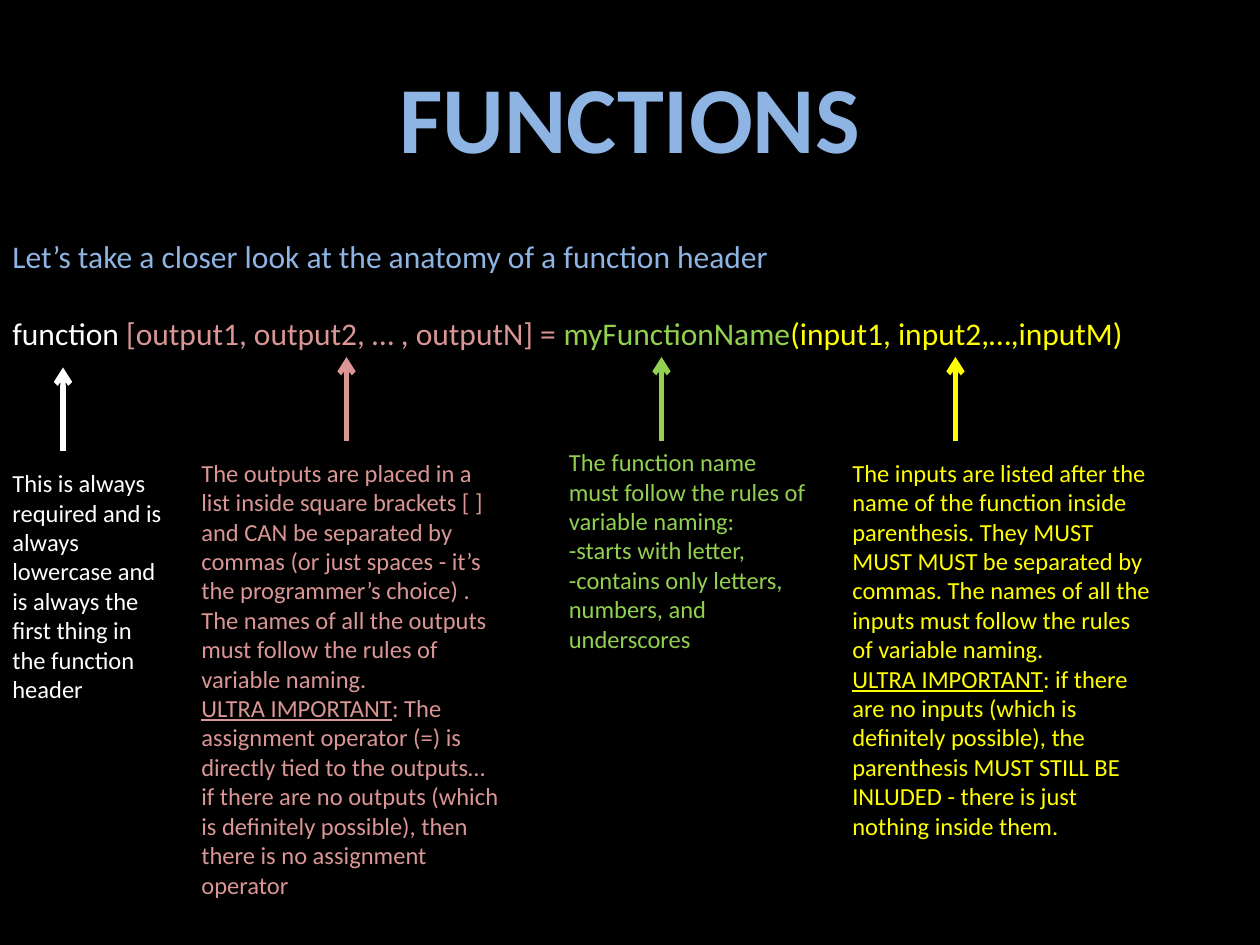
from dataclasses import dataclass

from lxml.etree import SubElement
from pptx import Presentation
from pptx.dml.color import RGBColor as RGB
from pptx.enum.shapes import MSO_CONNECTOR as Connector
from pptx.enum.text import MSO_AUTO_SIZE as AutoSize, PP_ALIGN as Align
from pptx.oxml.ns import qn
from pptx.util import Inches, Pt


@dataclass(frozen=True)
class Theme:
    """Colours, font and type sizes."""
    font: str = "Calibri"
    back: str = "000000"
    heading: str = "8EB4E3"
    keyword: str = "FFFFFF"
    outputs: str = "D99694"
    name: str = "92D050"
    inputs: str = "FFFF00"
    title_size: int = 54
    header_size: int = 18
    note_size: int = 14
    arrow_width: int = 3


T = Theme()
COLS, ROWS = 120, 90  # grid of twelve cells to the inch
ARROW_ROWS = 8

# colour, note box (col, row, cols, rows), arrow column and offset from the note top, paragraphs
NOTES = [
    (T.keyword, (0, 44, 17, 24), 6, -1,
     [["This is always required and is always lowercase and is always the first "
       "thing in the function header"]]),
    (T.outputs, (18, 43, 31, 43.7), 15, -1,
     [["The outputs are placed in a list inside square brackets [ ] and CAN be separated "
       "by commas (or just spaces - it’s the programmer’s choice) . The names of all the "
       "outputs must follow the rules of variable naming."],
      ["ULTRA IMPORTANT",
       ": The assignment operator (=) is directly tied to the outputs… if there are no "
       "outputs (which is definitely possible), then there is no assignment operator"]]),
    (T.name, (53, 42, 25, 21), 10, 0,
     [["The function name must follow the rules of variable naming:"],
      ["-starts with letter, "],
      ["-contains only letters, numbers, and underscores"]]),
    (T.inputs, (80, 43, 31, 38), 11, -1,
     [["The inputs are listed after the name of the function inside parenthesis. They MUST "
       "MUST MUST be separated by commas. The names of all the inputs must follow the rules "
       "of variable naming."],
      ["ULTRA IMPORTANT",
       ": if there are no inputs (which is definitely possible), the parenthesis MUST STILL "
       "BE INLUDED - there is just nothing inside them."]]),
]


def cell(n):
    """Turn grid cells into a length."""
    return Inches(n / 12)


def add_text(slide, box):
    """Add an empty wrapping text box on the grid and return its frame."""
    tf = slide.shapes.add_textbox(*map(cell, box)).text_frame
    tf.word_wrap = True
    tf.auto_size = AutoSize.SHAPE_TO_FIT_TEXT
    return tf


def style(p, size, color, bold=None):
    """Set the font of a whole paragraph."""
    p.font.name, p.font.size, p.font.bold = T.font, Pt(size), bold
    p.font.color.rgb = RGB.from_string(color)


def add_title(slide, box):
    """Place the centred title."""
    p = add_text(slide, box).paragraphs[0]
    p.text, p.alignment = "FUNCTIONS", Align.CENTER
    style(p, T.title_size, T.heading, True)


def add_header(slide, box):
    """Place the lead-in and the function header with its coloured parts."""
    tf = add_text(slide, box)
    p = tf.paragraphs[0]
    p.text = "Let’s take a closer look at the anatomy of a function header"
    style(p, T.header_size, T.heading)
    p = tf.add_paragraph()
    p.space_before = Pt(22)
    style(p, T.header_size, T.keyword)
    for text, color in (("function ", T.keyword),
                        ("[output1, output2, … , outputN] = ", T.outputs),
                        ("myFunctionName", T.name),
                        ("(input1, input2,…,inputM)", T.inputs)):
        r = p.add_run()
        r.text = text
        r.font.color.rgb = RGB.from_string(color)


def add_arrow(slide, col, row, color):
    """Draw an upward arrow whose foot is at the given cell."""
    x = cell(col)
    sp = slide.shapes.add_connector(Connector.STRAIGHT, x, cell(row), x, cell(row - ARROW_ROWS))
    sp.line.color.rgb = RGB.from_string(color)
    sp.line.width = Pt(T.arrow_width)
    SubElement(sp.line._get_or_add_ln(), qn("a:tailEnd"), type="arrow")
    SubElement(sp._element.spPr, qn("a:effectLst"))


def add_note(slide, color, box, arrow_col, arrow_row, paragraphs):
    """Place a note and its arrow; in a two-part paragraph the lead is underlined."""
    tf = add_text(slide, box)
    for i, parts in enumerate(paragraphs):
        p = tf.add_paragraph() if i else tf.paragraphs[0]
        style(p, T.note_size, color)
        for text in parts:
            r = p.add_run()
            r.text = text
        if len(parts) > 1:
            p.runs[0].font.underline = True
    add_arrow(slide, box[0] + arrow_col, box[1] + arrow_row, color)


def main():
    """Build and save the slide."""
    prs = Presentation()
    prs.slide_width, prs.slide_height = cell(COLS), cell(ROWS)
    slide = prs.slides.add_slide(prs.slide_layouts[6])
    fill = slide.background.fill
    fill.solid()
    fill.fore_color.rgb = RGB.from_string(T.back)
    add_title(slide, (0, 5, COLS, 12))
    add_header(slide, (0, 22, COLS, 15.7))
    for note in NOTES:
        add_note(slide, *note)
    prs.save("out.pptx")


main()
